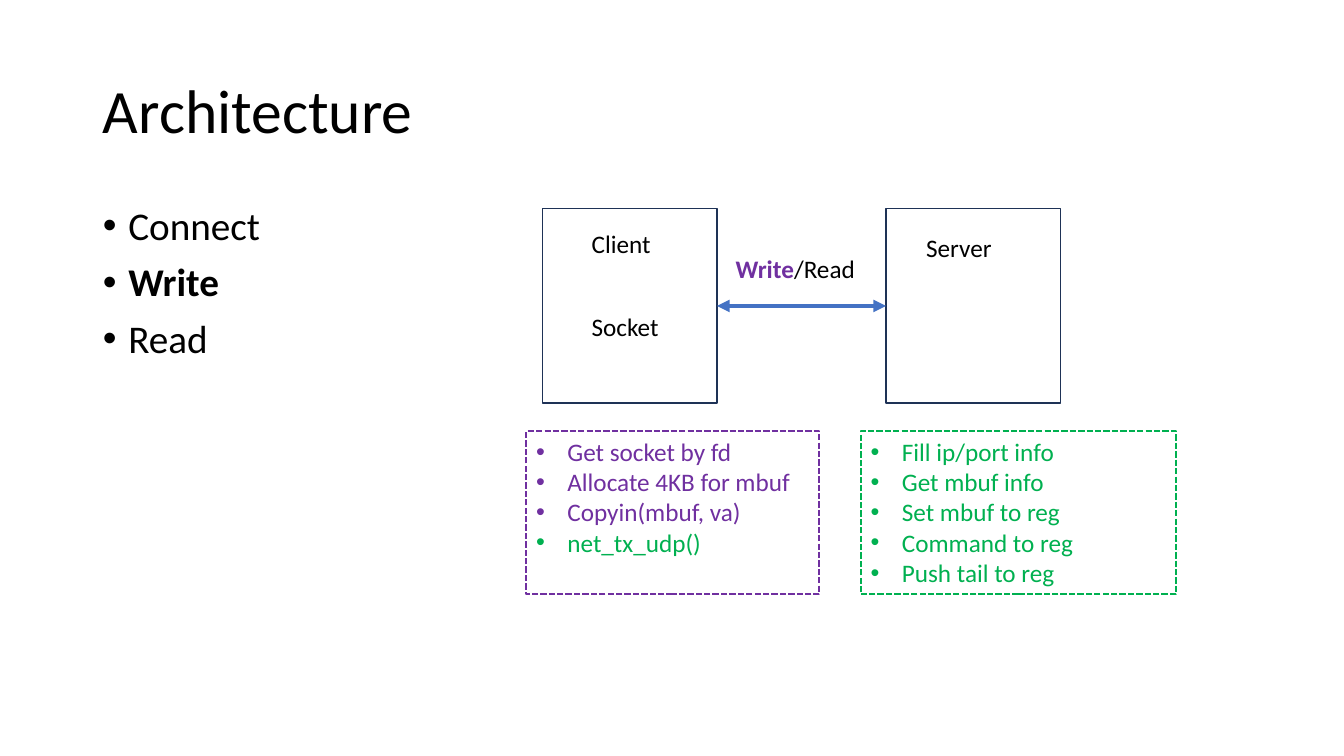
"""Build the Architecture slide showing the client and server write path."""
import pptx
import pptx.dml.color
import pptx.enum.dml
import pptx.enum.shapes
import pptx.enum.text
import pptx.oxml.ns
import pptx.util
from lxml import etree

Cm = pptx.util.Cm
Pt = pptx.util.Pt
BLACK, NAVY, BLUE, PURPLE, GREEN = "000000", "1E3256", "4472C4", "7030A0", "00B050"


def rgb(value):
    return pptx.dml.color.RGBColor.from_string(value)


def add_xml(parent, tag, **attrs):
    return etree.SubElement(parent, pptx.oxml.ns.qn(tag), attrs)


class Deck:
    font = "Calibri"

    def __init__(self):
        self.prs = pptx.Presentation()
        self.prs.slide_width, self.prs.slide_height = Cm(33.87), Cm(19.05)
        self.slide = self.prs.slides.add_slide(self.prs.slide_layouts[1])

    def place(self, sp, box):
        sp.left, sp.top, sp.width, sp.height = map(Cm, box)

    def style(self, r, size, color, bold=False):
        r.font.name, r.font.size, r.font.bold = self.font, Pt(size), bold
        r.font.color.rgb = rgb(color)

    def bullet(self, p, indent):
        pPr = p._p.get_or_add_pPr()
        pPr.set("marL", str(Cm(indent)))
        pPr.set("indent", str(-Cm(indent)))
        add_xml(pPr, "a:buFont", typeface="Arial")
        add_xml(pPr, "a:buChar", char="•")

    def title(self, text, box):
        sp = self.slide.shapes.title
        self.place(sp, box)
        tf = sp.text_frame
        tf.text = text
        tf.auto_size = pptx.enum.text.MSO_AUTO_SIZE.NONE
        tf.vertical_anchor = pptx.enum.text.MSO_ANCHOR.MIDDLE
        p = tf.paragraphs[0]
        p.alignment, p.line_spacing = pptx.enum.text.PP_ALIGN.LEFT, 0.9
        self.style(p.runs[0], 44, BLACK)

    def body(self, items, current, box):
        sp = self.slide.placeholders[1]
        self.place(sp, box)
        tf = sp.text_frame
        tf.text = "\n".join(items)
        tf.auto_size = pptx.enum.text.MSO_AUTO_SIZE.NONE
        for p in tf.paragraphs:
            p.line_spacing, p.space_before = 0.9, Pt(10)
            self.bullet(p, 0.64)
            self.style(p.runs[0], 28, BLACK, p.text == current)

    def label(self, parts, box):
        sp = self.slide.shapes.add_textbox(*map(Cm, box))
        tf = sp.text_frame
        tf.word_wrap = True
        for text, color, bold in parts:
            r = tf.paragraphs[0].add_run()
            r.text = text
            self.style(r, 18, color, bold)

    def box(self, box, color, width):
        sp = self.slide.shapes.add_shape(
            pptx.enum.shapes.MSO_SHAPE.RECTANGLE, *map(Cm, box))
        sp.shadow.inherit = False
        sp.fill.background()
        sp.line.color.rgb, sp.line.width = rgb(color), Pt(width)
        return sp

    def steps(self, items, box, color):
        sp = self.box(box, color, 1.5)
        sp.line.dash_style = pptx.enum.dml.MSO_LINE.SQUARE_DOT
        tf = sp.text_frame
        tf.text = "\n".join(text for text, _ in items)
        tf.word_wrap = True
        tf.vertical_anchor = pptx.enum.text.MSO_ANCHOR.TOP
        for p, (_, text_color) in zip(tf.paragraphs, items):
            p.alignment = pptx.enum.text.PP_ALIGN.LEFT
            self.bullet(p, 0.79)
            self.style(p.runs[0], 18, text_color)

    def arrow(self, x1, x2, y):
        line = self.slide.shapes.add_connector(
            pptx.enum.shapes.MSO_CONNECTOR.STRAIGHT, Cm(x1), Cm(y), Cm(x2), Cm(y))
        line.line.color.rgb, line.line.width = rgb(BLUE), Pt(3)
        ln = line.line._get_or_add_ln()
        for end in ("a:headEnd", "a:tailEnd"):
            add_xml(ln, end, type="triangle")
        add_xml(line._element.spPr, "a:effectLst")


def main():
    deck = Deck()
    deck.title("Architecture", (2.34, 1.02, 29.21, 3.68))
    deck.body(["Connect", "Write", "Read"], "Write", (2.34, 5.08, 29.21, 12.09))

    for text, left, top, width in (("Client", 14.66, 5.64, 2.9),
                                   ("Server", 23.09, 5.72, 2.9),
                                   ("Socket", 14.66, 7.72, 2.44)):
        deck.label([(text, BLACK, False)], (left, top, width, 1.02))

    client_x, server_x, top, width, height = 13.67, 22.33, 5.26, 4.4, 4.9
    for left in (client_x, server_x):
        deck.box((left, top, width, height), NAVY, 1)
    deck.arrow(client_x + width, server_x, top + height / 2)
    deck.label([("Write", PURPLE, True), ("/Read", BLACK, False)],
               (18.29, 6.27, 3.81, 1.02))

    deck.steps([("Get socket by fd", PURPLE), ("Allocate 4KB for mbuf", PURPLE),
                ("Copyin(mbuf, va)", PURPLE), ("net_tx_udp()", GREEN)],
               (13.26, 10.87, 7.39, 4.11), PURPLE)
    deck.steps([(text, GREEN) for text in (
        "Fill ip/port info", "Get mbuf info", "Set mbuf to reg",
        "Command to reg", "Push tail to reg")],
               (21.69, 10.87, 7.95, 4.11), GREEN)
    deck.prs.save("out.pptx")


if __name__ == "__main__":
    main()
